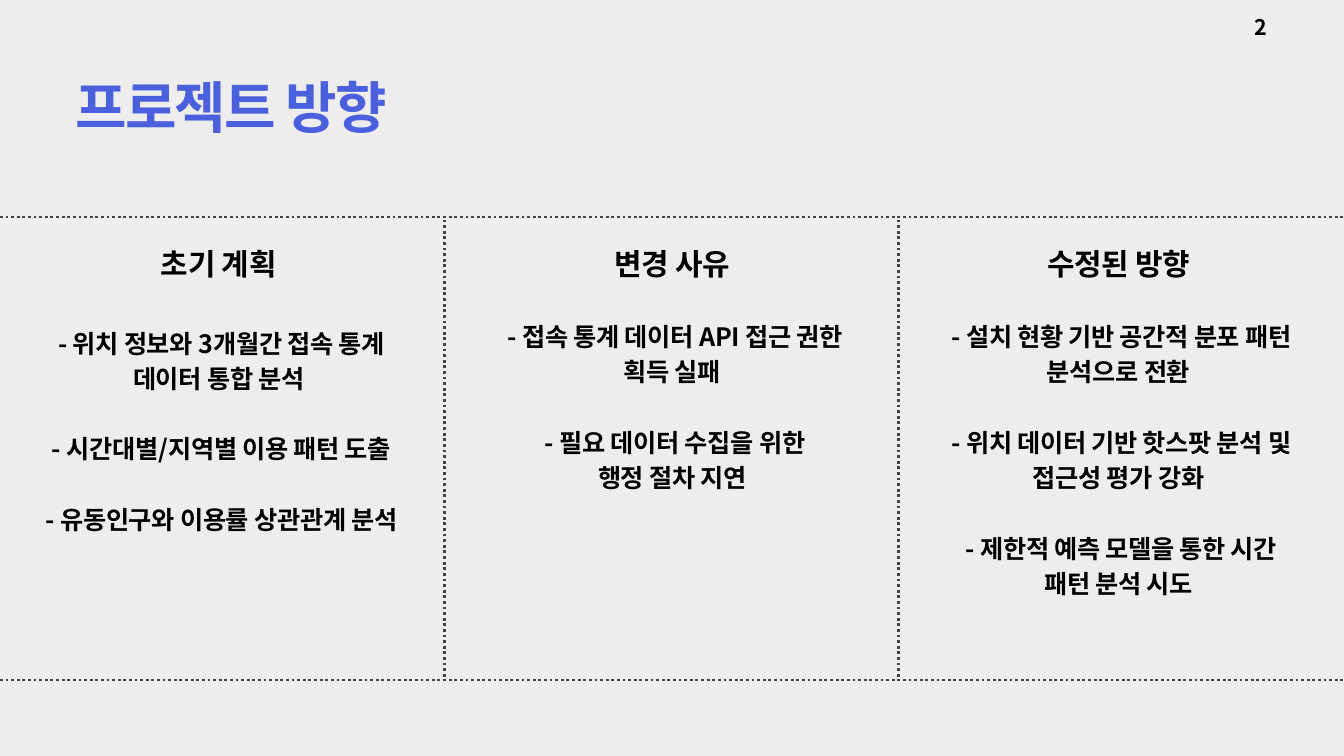
from lxml.etree import SubElement as Sub
from pptx import Presentation
from pptx.dml.color import RGBColor as RGB
from pptx.enum.dml import MSO_LINE as Dash
from pptx.enum.shapes import MSO_CONNECTOR as Conn
from pptx.enum.text import MSO_ANCHOR as Anchor, MSO_AUTO_SIZE as Auto, PP_ALIGN as Align
from pptx.oxml.ns import qn
from pptx.util import Inches, Pt

FONT = "Noto Sans CJK KR"
HUES = {"back": "EDEDEE", "rule": "424242", "title": "4A60DD", "text": "000000"}
TITLE = "프로젝트 방향"
PAGE = "2"
TOP, LOW = 3.23, 10.12
HEAD, LEAD = 44.8, 37.8

# left, width, height, gap under the heading, heading, items as lists of lines
COLS = [
    (0.26, 5.99, 5.56, HEAD, "초기 계획", [
        [" - 위치 정보와 3개월간 접속 통계", "데이터 통합 분석"],
        [" - 시간대별/지역별 이용 패턴 도출"],
        [" - 유동인구와 이용률 상관관계 분석"],
    ]),
    (7.13, 5.75, 6.17, LEAD, "변경 사유", [
        [" - 접속 통계 데이터 API 접근 권한 획득 실패"],
        [" - 필요 데이터 수집을 위한", "행정 절차 지연"],
    ]),
    (13.75, 5.79, 5.89, LEAD, "수정된 방향", [
        [" - 설치 현황 기반 공간적 분포 패턴 분석으로 전환"],
        [" - 위치 데이터 기반 핫스팟 분석 및 접근성 평가 강화"],
        [" - 제한적 예측 모델을 통한 시간", "패턴 분석 시도"],
    ]),
]
RULES = [
    (6.62, LOW - 0.05, 6.62, TOP), (13.37, LOW - 0.05, 13.37, TOP),
    (0, TOP, 20, TOP), (0, LOW, 20, LOW),
]


def place(shape, x, y, w, h):
    """Move the shape and strip its margins; return its text frame."""
    shape.left, shape.top, shape.width, shape.height = map(Inches, (x, y, w, h))
    frame = shape.text_frame
    frame.margin_left = frame.margin_top = 0
    frame.margin_right = frame.margin_bottom = 0
    frame.word_wrap = True
    frame.auto_size = Auto.NONE
    frame.vertical_anchor = Anchor.TOP
    return frame


def write(para, text, size, lead, track, hue="text", align=Align.LEFT, gap=0):
    """Fill a paragraph; lead and gap are points, track is letter spacing."""
    para.text = text
    props = para._p.get_or_add_pPr()
    props.set("marL", "0")
    props.set("indent", "0")
    Sub(props, qn("a:buNone"))
    para.alignment = align
    para.line_spacing = Pt(lead)
    para.space_before, para.space_after = Pt(gap), Pt(0)
    font = para.font
    font.size, font.bold, font.name = Pt(size), True, FONT
    font.color.rgb = RGB.from_string(HUES[hue])
    font._element.set("spc", str(round(track * 100)))
    Sub(font._element, qn("a:ea")).set("typeface", FONT)


def rule(slide, *ends):
    line = slide.shapes.add_connector(Conn.STRAIGHT, *map(Inches, ends))
    line.line.color.rgb = RGB.from_string(HUES["rule"])
    line.line.width = Pt(3)
    line.line.dash_style = Dash.ROUND_DOT
    Sub(line._element.spPr, qn("a:effectLst"))


def column(shape, x, w, h, gap, head, items):
    frame = place(shape, x, 3.56, w, h)
    write(frame.paragraphs[0], head, 32, HEAD, -0.3, align=Align.CENTER)
    for i, item in enumerate(items):
        for j, text in enumerate(item):
            space = 0 if j else LEAD if i else gap
            write(frame.add_paragraph(), text, 27, LEAD, -0.3,
                  align=Align.CENTER, gap=space)


def main():
    deck = Presentation()
    deck.slide_width, deck.slide_height = Inches(20), Inches(11.25)
    slide = deck.slides.add_slide(deck.slide_layouts.get_by_name("Comparison"))
    fill = slide.background.fill
    fill.solid()
    fill.fore_color.rgb = RGB.from_string(HUES["back"])

    title, *bodies = slide.placeholders
    frame = place(title, 1.12, 1.25, 15.95, 0.88)
    write(frame.paragraphs[0], TITLE, 60, 60, -1.8, "title")
    for body, col in zip(bodies, COLS):
        column(body, *col)
    for spare in bodies[len(COLS):]:
        spare._element.getparent().remove(spare._element)

    for ends in RULES:
        rule(slide, *ends)
    frame = place(slide.shapes.add_textbox(0, 0, 0, 0), 18.67, 0.18, 0.41, 0.4)
    write(frame.paragraphs[0], PAGE, 23, 29.9, -0.2)
    deck.save("out.pptx")


if __name__ == "__main__":
    main()
